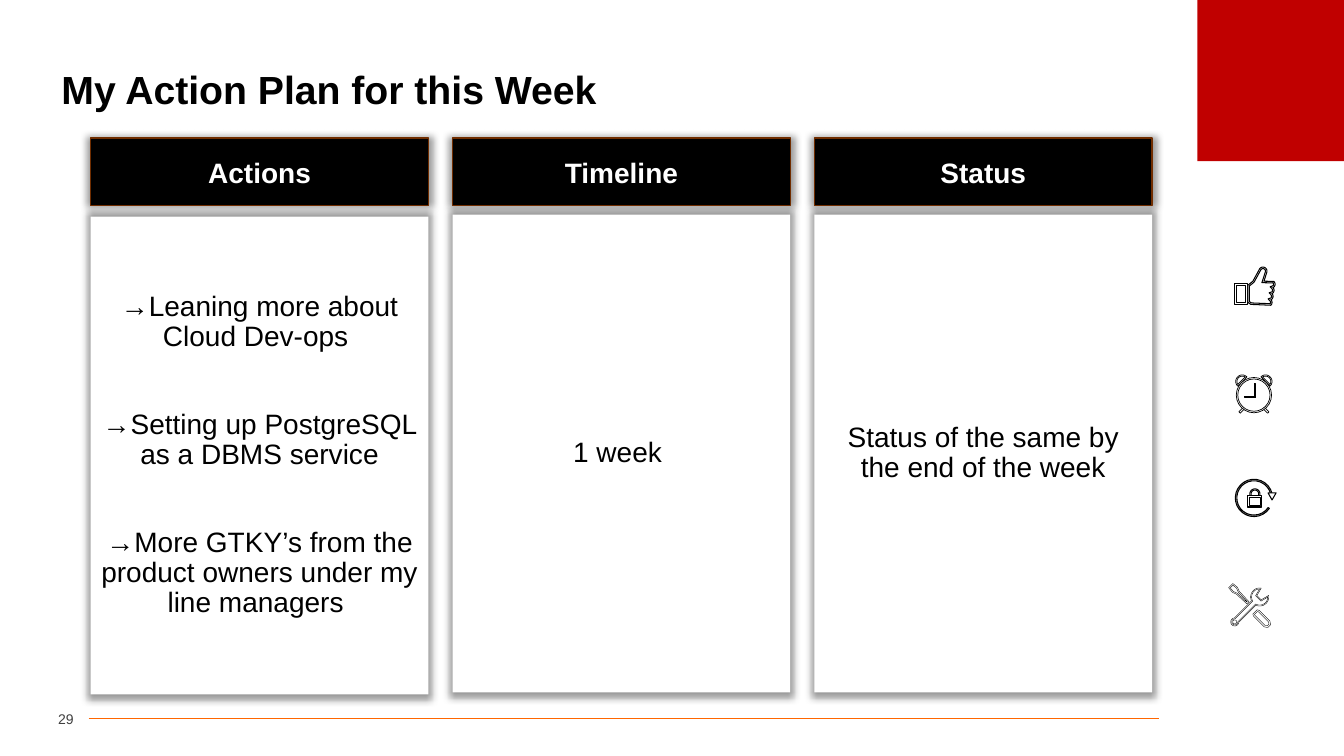
from dataclasses import dataclass
from math import cos, hypot, radians, sin

from lxml.etree import SubElement
from pptx import Presentation
from pptx.dml.color import RGBColor
from pptx.enum.shapes import MSO_CONNECTOR, MSO_SHAPE
from pptx.enum.text import MSO_ANCHOR, MSO_AUTO_SIZE, PP_ALIGN
from pptx.oxml.ns import qn
from pptx.util import Emu, Pt

EMU_PER_PX = 9144
BLACK = RGBColor(0x00, 0x00, 0x00)
WHITE = RGBColor(0xFF, 0xFF, 0xFF)
RED = RGBColor(0xC0, 0x00, 0x00)
ORANGE = RGBColor(0xFF, 0x66, 0x00)
BROWN = RGBColor(0x70, 0x2D, 0x00)
GRAY = RGBColor(0x40, 0x40, 0x40)

COLUMN_LEFT, COLUMN_WIDTH, COLUMN_GAP = 90, 335, 24
HEADER_TOP, HEADER_HEIGHT, BODY_HEIGHT = 137, 67, 474
BADGE_SIZE = 90

Contour = list[tuple[float, float]]
Outline = list[Contour]


@dataclass
class Column:
    heading: str
    entries: list[str]
    body_top: int = 213


@dataclass
class Icon:
    left: int
    top: int
    line_pt: float
    outlines: list[Outline]


def px(length: float) -> Emu:
    return Emu(round(length * EMU_PER_PX))


def arc(x: float, y: float, radius: float, start: int = 0, end: int = 360) -> Contour:
    steps = 24
    angles = [radians(start + (end - start) * i / steps) for i in range(steps + 1)]
    return [(x + radius * cos(a), y + radius * sin(a)) for a in angles]


def box(left: float, top: float, right: float, bottom: float) -> Contour:
    return [(left, top), (right, top), (right, bottom), (left, bottom)]


def place(contour: Contour, x: float, y: float, angle: int) -> Contour:
    c, s = cos(radians(angle)), sin(radians(angle))
    return [(x + c * u - s * v, y + s * u + c * v) for u, v in contour]


def symmetric(half: Contour) -> Contour:
    return half + [(u, -v) for u, v in reversed(half)]


def mirror(outline: Outline) -> Outline:
    return [[(-x, y) for x, y in contour] for contour in outline]


def unit_normal(start: tuple[float, float], end: tuple[float, float]) -> tuple[float, float]:
    dx, dy = end[0] - start[0], end[1] - start[1]
    return -dy / hypot(dx, dy), dx / hypot(dx, dy)


def double_line(clockwise: Contour, thickness: float) -> Outline:
    inner = []
    for i, (x, y) in enumerate(clockwise):
        ax, ay = unit_normal(clockwise[i - 1], (x, y))
        bx, by = unit_normal((x, y), clockwise[(i + 1) % len(clockwise)])
        reach = thickness / (1 + ax * bx + ay * by)
        inner.append((x + reach * (ax + bx), y + reach * (ay + by)))
    return [clockwise, inner]


def thumbs_up() -> list[Outline]:
    cuff = box(-19, -7, -6, 14)
    thumb = arc(9, -19, 4, 200, 380)
    fingers = [point for i in range(4) for point in arc(17 - i, -6 + 6 * i, 4, -45, 45)]
    hand = [(-6, 12), (-6, -5), (-1, -9), *thumb, (10, -9), *fingers, (-3, 14)]
    return [double_line(cuff, 2), double_line(hand, 1.5)]


def alarm_clock() -> list[Outline]:
    bell = double_line(arc(11.5, -13.5, 6.5, -135, 45), 1.2)
    foot = [place(box(0, -1, 6, 1), 10, 13, 45)]
    dial = [arc(0, 0, 17.5), arc(0, 0, 16)]
    minute_hand, hour_hand = [box(0, -12, 1, 2)], [box(-10, 1, 1, 2)]
    return [bell, mirror(bell), foot, mirror(foot), dial, minute_hand, hour_hand]


def renewing_lock() -> list[Outline]:
    ring = [arc(0, 0, 18.5, 34, 360) + arc(0, 0, 17, 360, 34)]
    arrow_tip = [[(14, -5), (18, 2), (22, -5)]]
    shackle = double_line(arc(1, -4, 5, 180, 360) + [(6, -1), (-4, -1)], 1.2)
    case = double_line(box(-6, -2, 8, 9), 1.2)
    return [ring, arrow_tip, shackle, case]


def crossed_tools() -> list[Outline]:
    handle = symmetric([(0, -3), (2, -4), (17, -4), (20, -2)])
    blade = symmetric([(0, -3), (6, -3.5), (10, -2), (24, -1.5)])
    tail = arc(0, 0, 4, 50, 310)
    jaw = arc(35, 0, 9, 200, 325) + [(34, -3), (34, 3)] + arc(35, 0, 9, 35, 160)
    wrench = place(tail + jaw, -16, 17, -45)
    return [double_line(place(handle, 4, 7, 45), 1.5),
            double_line(place(blade, -20, -19, 45), 1.2),
            double_line(wrench, 1) + [arc(-16, 17, 2)]]


COLUMNS = [
    Column("Actions", ["→Leaning more about Cloud Dev-ops ",
                       "→Setting up PostgreSQL as a DBMS service",
                       "→More GTKY’s from the product owners under my line managers "], 215),
    Column("Timeline", ["1 week "]),
    Column("Status", ["Status of the same by the end of the week"]),
]
ICONS = [
    Icon(1199, 243, 0.75, thumbs_up()),
    Icon(1199, 347, 0.5, alarm_clock()),
    Icon(1199, 449, 0.75, renewing_lock()),
    Icon(1196, 555, 0.25, crossed_tools()),
]


def write_text(frame, paragraphs: list[str], *, size: int, color: RGBColor = BLACK,
               bold: bool = False, align=PP_ALIGN.CENTER, line_spacing: float = 1.0,
               gap: int = 0) -> None:
    frame.word_wrap = True
    frame.auto_size = MSO_AUTO_SIZE.NONE
    frame.vertical_anchor = MSO_ANCHOR.MIDDLE
    for index, words in enumerate(paragraphs):
        paragraph = frame.add_paragraph() if index else frame.paragraphs[0]
        paragraph.alignment = align
        paragraph.line_spacing = line_spacing
        paragraph.space_before = Pt(gap if index else 0)
        run = paragraph.add_run()
        run.text = words
        run.font.name = "Arial"
        run.font.size = Pt(size)
        run.font.bold = bold
        run.font.color.rgb = color


def paint(shape, fill: RGBColor, line: RGBColor | None = None, line_pt: float = 1) -> None:
    shape.shadow.inherit = False
    shape.fill.solid()
    shape.fill.fore_color.rgb = fill
    if line is None:
        shape.line.fill.background()
    else:
        shape.line.color.rgb = line
        shape.line.width = Pt(line_pt)


def add_block(shapes, kind, left: int, top: int, width: int, height: int,
              fill: RGBColor, line: RGBColor | None = None):
    block = shapes.add_shape(kind, px(left), px(top), px(width), px(height))
    paint(block, fill, line)
    return block


def add_card(shapes, left: int, top: int, height: int, fill: RGBColor,
             line: RGBColor | None = None):
    card = add_block(shapes, MSO_SHAPE.RECTANGLE, left, top, COLUMN_WIDTH, height, fill, line)
    effects = card._element.spPr.find(qn("a:effectLst"))
    shadow = SubElement(effects, qn("a:outerShdw"), blurRad=str(Pt(5)), sx="102000",
                        sy="102000", algn="ctr", rotWithShape="0")
    color = SubElement(shadow, qn("a:srgbClr"), val=str(BLACK))
    SubElement(color, qn("a:alpha"), val="40000")
    return card.text_frame


def add_icon(shapes, icon: Icon) -> None:
    group = shapes.add_group_shape().shapes
    add_block(group, MSO_SHAPE.OVAL, icon.left, icon.top, BADGE_SIZE, BADGE_SIZE, WHITE)
    center_x, center_y = icon.left + BADGE_SIZE / 2, icon.top + BADGE_SIZE / 2
    for outline in icon.outlines:
        first, *holes = [[(px(center_x + x), px(center_y + y)) for x, y in contour]
                         for contour in outline]
        builder = group.build_freeform(*first[0])
        builder.add_line_segments(first[1:], close=True)
        for hole in holes:
            builder.move_to(*hole[0])
            builder.add_line_segments(hole[1:], close=True)
        paint(builder.convert_to_shape(), WHITE, BLACK, icon.line_pt)


def main() -> None:
    deck = Presentation()
    deck.slide_width, deck.slide_height = px(1333.33), px(750)
    shapes = deck.slides.add_slide(deck.slide_layouts[5]).shapes

    title = shapes.title
    title.left, title.top, title.width, title.height = px(51), px(52), px(1231), px(78)
    write_text(title.text_frame, ["My Action Plan for this Week"], size=28, bold=True,
               align=PP_ALIGN.LEFT, line_spacing=0.9)

    footer_rule = shapes.add_connector(MSO_CONNECTOR.STRAIGHT, px(88), px(713), px(1150), px(713))
    footer_rule.line.color.rgb = ORANGE
    footer_rule.line.width = Pt(0.5)
    SubElement(footer_rule._element.spPr, qn("a:effectLst"))
    add_block(shapes, MSO_SHAPE.RECTANGLE, 1188, 0, 146, 160, RED)

    page_number = shapes.add_textbox(px(33), px(699), px(40), px(29)).text_frame
    page_number.margin_left = page_number.margin_right = 0
    write_text(page_number, ["29"], size=10, color=GRAY, align=PP_ALIGN.RIGHT)

    for index, column in enumerate(COLUMNS):
        left = COLUMN_LEFT + (COLUMN_WIDTH + COLUMN_GAP) * index
        body = add_card(shapes, left, column.body_top, BODY_HEIGHT, WHITE)
        write_text(body, column.entries, size=20, line_spacing=0.9, gap=41)
        header = add_card(shapes, left, HEADER_TOP, HEADER_HEIGHT, BLACK, BROWN)
        write_text(header, [column.heading], size=20, color=WHITE, bold=True)

    for icon in ICONS:
        add_icon(shapes, icon)
    deck.save("out.pptx")


if __name__ == "__main__":
    main()
